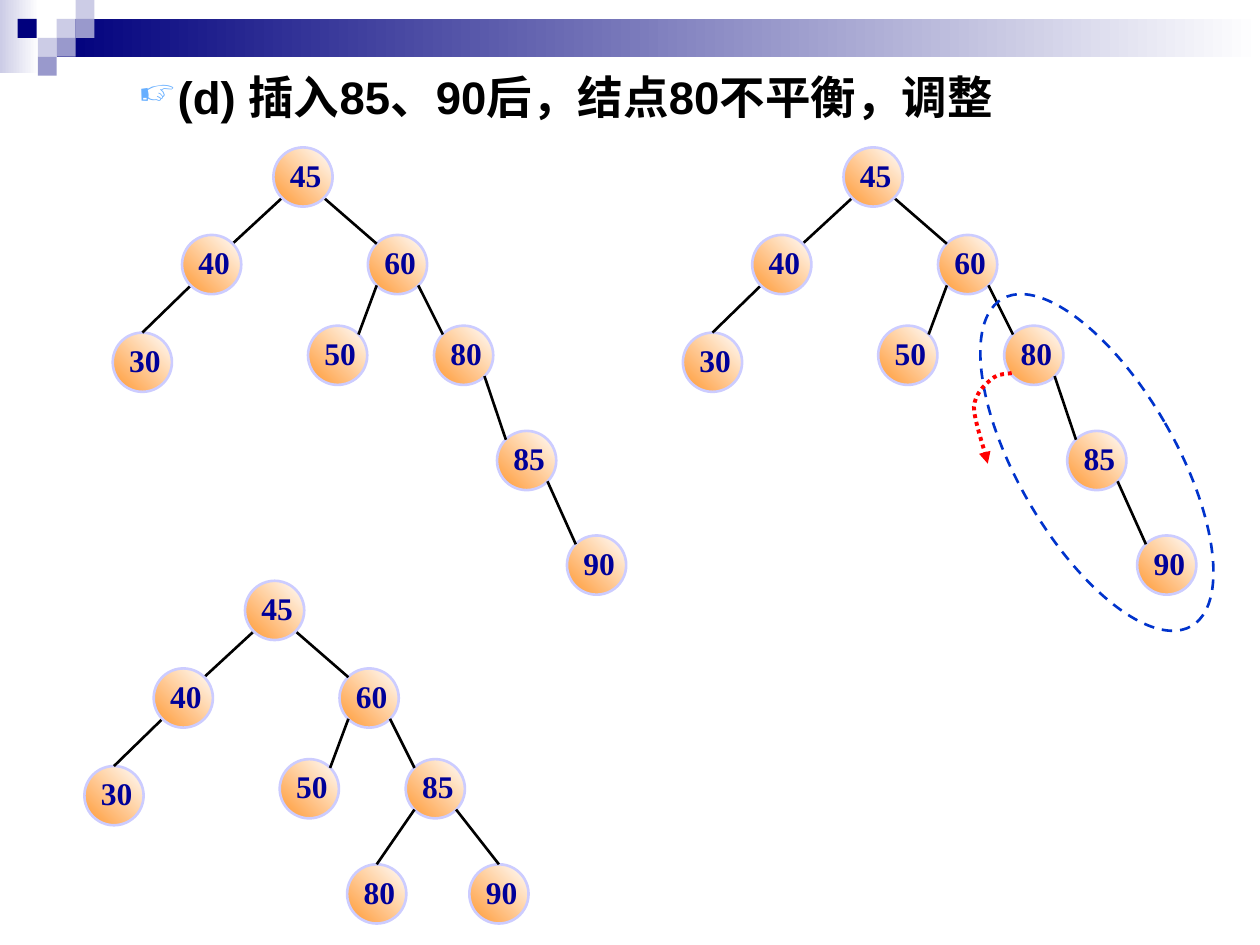
from lxml import etree
from pptx import Presentation
from pptx.dml.color import RGBColor
from pptx.enum.dml import MSO_LINE
from pptx.enum.shapes import MSO_CONNECTOR, MSO_SHAPE
from pptx.enum.text import MSO_ANCHOR, MSO_AUTO_SIZE, PP_ALIGN
from pptx.oxml.ns import qn
from pptx.util import Inches, Pt

RECT, OVAL = MSO_SHAPE.RECTANGLE, MSO_SHAPE.OVAL
LINE = MSO_CONNECTOR.STRAIGHT
DASH, DOT = MSO_LINE.DASH, MSO_LINE.ROUND_DOT
TOP, MID = MSO_ANCHOR.TOP, MSO_ANCHOR.MIDDLE
LEFT, MIDDLE = PP_ALIGN.LEFT, PP_ALIGN.CENTER

COLORS = {
    "navy": "00007D", "mid": "9999CC", "pale": "CCCCE6", "white": "FFFFFF",
    "black": "000000", "bullet": "67AFFF", "ink": "000099",
    "orange": "FF9933", "rim": "CCCCFF", "blue": "0033CC", "red": "FF0000",
}

# The slide is a grid of 100 columns by 75 rows
COLS, ROWS = 100, 75
NODE = 4.7
NEAR, FAR = 0.7, 4.0  # where the diagonals of a node meet its rim

# Each node: key, parent, side of the parent, column and row from the root,
# and whether its edge ends at the top of the node
BASE = [
    ("45", None, None, 0, 0, False),
    ("40", "45", "left", -7.25, 6.95, False),
    ("60", "45", "right", 7.5, 6.95, False),
    ("30", "40", "left", -12.75, 14.7, True),
    ("50", "60", "left", 2.75, 14.15, False),
]
BEFORE = BASE + [
    ("80", "60", "right", 12.75, 14.15, False),
    ("85", "80", "right", 17.75, 22.5, False),
    ("90", "85", "right", 23.3, 30.8, False),
]
AFTER = BASE + [
    ("85", "60", "right", 12.75, 14.15, False),
    ("80", "85", "left", 8.1, 22.5, True),
    ("90", "85", "right", 17.8, 22.5, True),
]


def color(name):
    return RGBColor.from_string(COLORS[name])


def bend(a, b, c, d, steps=8):
    """Points along a cubic curve, without its start."""
    for i in range(1, steps + 1):
        t = i / steps
        s = 1 - t
        yield tuple(s**3 * p + 3 * s * s * t * q + 3 * s * t * t * r + t**3 * e
                    for p, q, r, e in zip(a, b, c, d))


class Deck:
    def __init__(self):
        self.prs = Presentation()
        self.prs.slide_width, self.prs.slide_height = Inches(10), Inches(7.5)
        self.slide = self.prs.slides.add_slide(self.prs.slide_layouts[5])
        self.shapes = self.slide.shapes

    def x(self, col):
        return round(self.prs.slide_width * col / COLS)

    def y(self, row):
        return round(self.prs.slide_height * row / ROWS)

    def box(self, col, row, wide, high):
        return self.x(col), self.y(row), self.x(wide), self.y(high)

    def shape(self, kind, box, fill=None, rim=None, width=1.5, host=None, angle=0):
        shape = (host or self.shapes).add_shape(kind, *self.box(*box))
        shape.shadow.inherit = False
        if fill is None:
            shape.fill.background()
        elif isinstance(fill, tuple):
            shape.fill.gradient()
            shape.fill.gradient_angle = angle
            for stop, name, place in zip(shape.fill.gradient_stops, fill, (0, 1)):
                stop.color.rgb, stop.position = color(name), place
        else:
            shape.fill.solid()
            shape.fill.fore_color.rgb = color(fill)
        if rim:
            self.pen(shape, rim, width)
        else:
            shape.line.fill.background()
        return shape

    def pen(self, shape, name, width, dash=None):
        shape.line.color.rgb = color(name)
        shape.line.width = Pt(width)
        if dash:
            shape.line.dash_style = dash

    def title(self, text, box):
        title = self.shapes.title
        title.left, title.top, title.width, title.height = self.box(*box)
        frame = title.text_frame
        frame.text = text
        frame.auto_size, frame.vertical_anchor = MSO_AUTO_SIZE.NONE, TOP
        para = frame.paragraphs[0]
        para.alignment = LEFT
        props = para._p.get_or_add_pPr()
        props.set("marL", str(self.x(8.1)))
        props.set("indent", str(self.x(-3.1)))
        tint = etree.SubElement(props, qn("a:buClr"))
        etree.SubElement(tint, qn("a:srgbClr"), val=COLORS["bullet"])
        etree.SubElement(props, qn("a:buSzPct"), val="80000")
        etree.SubElement(props, qn("a:buChar"), char="☞")
        self.font(para, "Arial", 26, "black")

    def font(self, para, face, size, name):
        font = para.font
        font.name, font.size, font.bold = face, Pt(size), True
        font.color.rgb = color(name)

    def node(self, host, key, col, row):
        node = self.shape(OVAL, (col, row, NODE, NODE), ("orange", "white"),
                          "rim", host=host, angle=45)
        frame = node.text_frame
        frame.word_wrap, frame.vertical_anchor = False, MID
        frame.margin_left, frame.margin_right = self.x(1.4), self.x(1)
        frame.margin_top, frame.margin_bottom = self.y(0.1), self.y(0.5)
        frame.text = key
        para = frame.paragraphs[0]
        para.alignment = MIDDLE
        self.font(para, "Times New Roman", 18, "ink")
        return node

    def edge(self, host, start, end):
        line = host.add_connector(LINE, self.x(start[0]), self.y(start[1]),
                                  self.x(end[0]), self.y(end[1]))
        etree.SubElement(line._element.spPr, qn("a:effectLst"))
        self.pen(line, "black", 1.5)
        return line

    def tree(self, col, row, nodes):
        host = self.shapes.add_group_shape().shapes
        spots = {}
        for key, parent, side, right, down, top in nodes:
            left, high = spots[key] = col + right, row + down
            node = self.node(host, key, left, high)
            if parent:
                out, into = (NEAR, FAR) if side == "left" else (FAR, NEAR)
                px, py = spots[parent]
                line = self.edge(host, (px + out, py + FAR), (left + into, high + NEAR))
                if top:
                    line.end_connect(node, 0)

    def curve(self, start, bends):
        pen = self.shapes.build_freeform(self.x(start[0]), self.y(start[1]))
        for a, b, end in bends:
            pen.add_line_segments([(self.x(c), self.y(r))
                                   for c, r in bend(start, a, b, end)], close=False)
            start = end
        arrow = pen.convert_to_shape()
        arrow.shadow.inherit = False
        arrow.fill.background()
        self.pen(arrow, "red", 2.25, DOT)
        etree.SubElement(arrow.line._get_or_add_ln(), qn("a:tailEnd"), type="triangle")


def main():
    deck = Deck()

    # Banner and its squares
    deck.shape(RECT, (0, 0, 3.1, 5.8), ("pale", "white"))
    deck.shape(RECT, (4.5, 1.5, 95.5, 3), ("navy", "white"))
    for col, row, name in [(4.5, 1.5, "pale"), (6, 0, "pale"), (6, 1.5, "mid"),
                           (3, 3, "pale"), (1.4, 1.5, "navy"),
                           (4.5, 3, "mid"), (3, 4.5, "mid")]:
        deck.shape(RECT, (col, row, 1.5, 1.5), name)

    # Heading
    deck.title("(d) 插入85、90后，结点80不平衡，调整", (5, 5, 90, 6))

    # Trees before the rotation
    deck.tree(21.7, 11.7, BEFORE)
    deck.tree(66.95, 11.7, BEFORE)

    # Unbalanced branch and the turn to the left
    ring = deck.shape(OVAL, (80.8, 21.7, 12.5, 30), rim="blue")
    ring.line.dash_style = DASH
    ring.rotation = 150
    deck.curve((80.3, 29.6), [
        ((80.1, 29.7), (79.2, 29.6), (78.7, 30.1)),
        ((78.2, 30.5), (77.4, 31.2), (77.3, 32.3)),
        ((77.3, 33.4), (78.2, 35.8), (78.4, 36.8)),
    ])

    # Tree after the rotation
    deck.tree(19.45, 46.1, AFTER)

    deck.prs.save("out.pptx")


if __name__ == "__main__":
    main()
